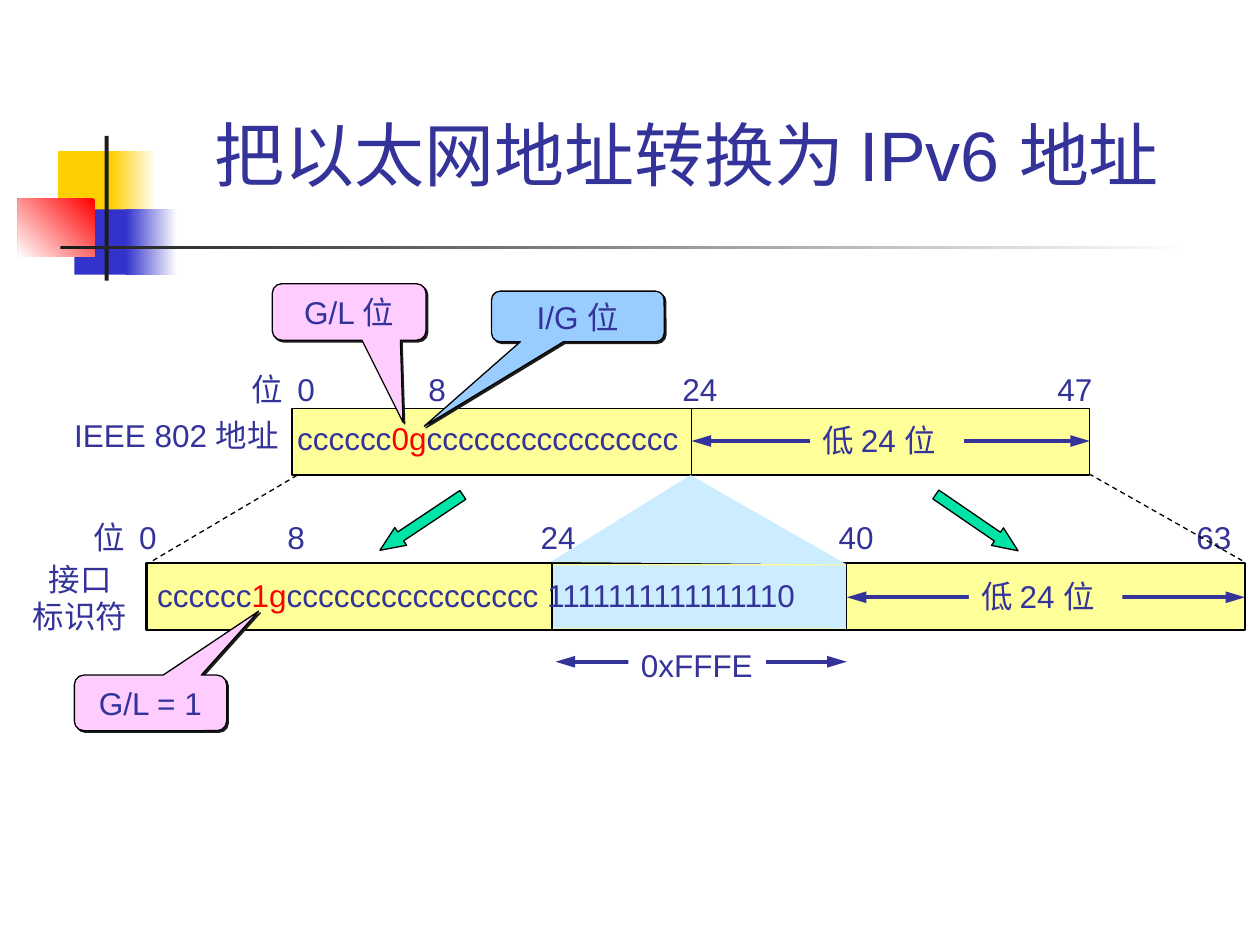
from lxml.etree import SubElement
from pptx import Presentation
from pptx.dml.color import RGBColor
from pptx.enum.dml import MSO_LINE
from pptx.enum.shapes import MSO_CONNECTOR, MSO_SHAPE
from pptx.enum.text import MSO_ANCHOR, PP_ALIGN
from pptx.oxml.ns import qn
from pptx.util import Cm, Pt

THEME = {
    "font": "Arial", "title": 40, "body": 18,
    "text": "333399", "mark": "FF0000", "line": "000000", "dark": "1C1C1C",
    "white": "FFFFFF", "gold": "FFCF01", "blue": "3333CC", "red": "FF0000",
    "bar": "FFFF99", "insert": "CCECFF", "green": "00E4A8",
    "pink": "FFCCFF", "sky": "99CCFF",
}
FRAME = {
    "margin_left": Cm(0.25), "margin_right": Cm(0.25),
    "margin_top": Cm(0.13), "margin_bottom": Cm(0.13),
    "word_wrap": False, "vertical_anchor": MSO_ANCHOR.TOP,
}
TEXT_H = 1.02

# Content: boxes are left, top, width, height in centimetres
TITLE = ("把以太网地址转换为 IPv6 地址", (3.02, 1.73, 21.65, 2.34))
MOTIF = [  # box, colour, gradient angle (None for solid)
    ((1.17, 3.05, 1.22, 1.32), "gold", None),
    ((2.24, 3.05, 0.91, 1.32), "gold", 0),
    ((1.5, 4.22, 1.17, 1.32), "blue", None),
    ((2.54, 4.22, 1.02, 1.32), "blue", 0),
    ((0.36, 4.01, 1.55, 1.17), "red", 225),
    ((2.11, 2.74, 0.08, 2.92), "dark", None),
    ((1.22, 4.95, 22.86, 0.08), "dark", 0),
]
ADDRESSES = [
    {"bar": (5.89, 8.23, 16.08, 1.35), "border": 0.75, "dividers": [13.94],
     "bits": [("cccccc", "text"), ("0g", "mark"), ("cccccccccccccccc", "text")],
     "bits_box": (5.74, 8.31, 8.2, TEXT_H),
     "ticks_box": (4.83, 7.32, 17.48, TEXT_H),
     "ticks": [("0", 6.17), ("8", 8.81), ("24", 14.11), ("47", 21.67)],
     "name": "IEEE 802 地址", "name_box": (1.17, 8.26, 4.78, TEXT_H)},
    {"bar": (2.95, 11.35, 22.15, 1.35), "border": 1.5, "dividers": [11.13, 17.07],
     "bits": [("cccccc", "text"), ("1g", "mark"),
              ("cccccccccccccccc 1111111111111110", "text")],
     "bits_box": (2.92, 11.48, 14.02, TEXT_H),
     "ticks_box": (1.63, 10.31, 23.7, TEXT_H),
     "ticks": [("0", 2.98), ("8", 5.97), ("24", 11.25), ("40", 17.26), ("63", 24.47)],
     "name": "接口\n标识符", "name_box": (0.41, 11.15, 2.41, 1.78)},
]
INSERT = (11.15, 11.4, 5.92, 1.27)
WEDGE = [(13.92, 9.58), (11.1, 11.33), (17.07, 11.38)]
SPANS = [  # from x, to x, y, label, label box, label fill
    (13.94, 21.97, 8.89, "低 24 位", (16.33, 8.36, 3.1, TEXT_H), "bar"),
    (17.07, 25.1, 12.04, "低 24 位", (19.53, 11.51, 3.1, TEXT_H), "bar"),
    (11.2, 17.07, 13.34, "0xFFFE", (12.67, 12.9, 2.77, TEXT_H), "white"),
]
PROJECTIONS = [((21.95, 9.55), (25.04, 11.3)), ((5.99, 9.58), (3, 11.35))]
BLOCK_ARROWS = [((8.28, 9.53, 0.43, 2.01), 56.3), ((19.48, 9.53, 0.43, 2.01), 304.4)]
CALLOUTS = [
    ("I/G 位", (9.91, 5.87, 3.48, 1.02), "sky", (-0.89, 2.17, 0.17)),
    ("G/L 位", (5.49, 5.72, 3.1, 1.14), "pink", (0.35, 1.95, 0.17)),
    ("G/L = 1", (1.5, 13.61, 3.07, 1.12), "pink", (0.71, -1.65, 0.17)),
]

prs = Presentation()
prs.slide_width, prs.slide_height = Cm(25.4), Cm(19.05)
s = prs.slides.add_slide(prs.slide_layouts[6])


def rgb(name):
    return RGBColor.from_string(THEME[name])


def set_format(obj, values):
    for key, value in values.items():
        setattr(obj, key, value)


def add_shape(box, fill, border=None, kind=MSO_SHAPE.RECTANGLE):
    sp = s.shapes.add_shape(kind, *map(Cm, box))
    return style(sp, fill, border)


def style(sp, fill, border=None):
    sp.shadow.inherit = False
    sp.fill.solid()
    sp.fill.fore_color.rgb = rgb(fill)
    if border:
        sp.line.color.rgb = rgb("line")
        sp.line.width = Pt(border)
    else:
        sp.line.fill.background()
    return sp


def write(sp, lines, align=PP_ALIGN.LEFT, size="body", **frame):
    """Write lines, each a list of (text, colour) runs."""
    tf = sp.text_frame
    set_format(tf, {**FRAME, **frame})
    for i, runs in enumerate(lines):
        p = tf.add_paragraph() if i else tf.paragraphs[0]
        p.alignment = align
        for text, color in runs:
            r = p.add_run()
            r.text = text
            set_format(r.font, {"name": THEME["font"], "size": Pt(THEME[size])})
            r.font.color.rgb = rgb(color)
    return tf


def add_text(box, lines, **options):
    return write(s.shapes.add_textbox(*map(Cm, box)), lines, **options)


def plain(text):
    return [[(line, "text")] for line in text.split("\n")]


def add_line(start, end, color="line", width=0.75, dash=None, heads=False):
    c = s.shapes.add_connector(MSO_CONNECTOR.STRAIGHT, *map(Cm, (*start, *end)))
    c.line.color.rgb = rgb(color)
    c.line.width = Pt(width)
    if dash:
        c.line.dash_style = dash
    if heads:
        for tag in ("a:headEnd", "a:tailEnd"):
            SubElement(c.line._get_or_add_ln(), qn(tag), type="triangle", len="lg")
    SubElement(c._element.spPr, qn("a:effectLst"))


def add_ticks(box, ticks):
    """Write the bit numbers, each centred on its own tab stop."""
    text = "\t".join(["位"] + [number for number, _ in ticks])
    tf = add_text(box, plain(text), word_wrap=True, margin_right=0)
    tabs = SubElement(tf.paragraphs[0]._p.get_or_add_pPr(), qn("a:tabLst"))
    for _, x in ticks:
        SubElement(tabs, qn("a:tab"), pos=str(Cm(x - box[0] - 0.25)), algn="ctr")


# Corner motif and title
for box, color, angle in MOTIF:
    sp = add_shape(box, color)
    if angle is not None:
        sp.fill.gradient()
        sp.fill.gradient_angle = angle
        for stop, name in zip(sp.fill.gradient_stops, (color, "white")):
            stop.color.rgb = rgb(name)
text, box = TITLE
add_text(box, plain(text), align=PP_ALIGN.CENTER, size="title",
         word_wrap=True, vertical_anchor=MSO_ANCHOR.BOTTOM)

# Address bars and the inserted 16 bits
for address in ADDRESSES:
    add_shape(address["bar"], "bar", address["border"])
add_shape(INSERT, "insert")
builder = s.shapes.build_freeform(*map(Cm, WEDGE[0]))
builder.add_line_segments([(Cm(x), Cm(y)) for x, y in WEDGE[1:]], close=True)
style(builder.convert_to_shape(), "insert")

# Spans with their labels
for x1, x2, y, label, box, fill in SPANS:
    add_line((x1, y), (x2, y), "text", 2.25, heads=True)
    write(add_shape(box, fill), plain(label))

# Dividers, bits, bit numbers and names
for address in ADDRESSES:
    _, top, _, height = address["bar"]
    for x in address["dividers"]:
        add_line((x, top), (x, top + height))
    add_text(address["bits_box"], [address["bits"]])
    add_ticks(address["ticks_box"], address["ticks"])
    add_text(address["name_box"], plain(address["name"]), align=PP_ALIGN.CENTER)

# Projection lines and block arrows
for start, end in PROJECTIONS:
    add_line(start, end, dash=MSO_LINE.DASH)
for box, angle in BLOCK_ARROWS:
    sp = add_shape(box, "green", 0.75, MSO_SHAPE.DOWN_ARROW)
    sp.rotation = angle
    sp.adjustments[1] = 1.17

# Callouts with a hard shadow
for label, box, fill, adjustments in CALLOUTS:
    sp = add_shape(box, fill, 0.75, MSO_SHAPE.ROUNDED_RECTANGULAR_CALLOUT)
    for i, value in enumerate(adjustments):
        sp.adjustments[i] = value
    effects = sp._element.spPr.find(qn("a:effectLst"))
    shadow = SubElement(effects, qn("a:outerShdw"), dist=str(Pt(1.4)), dir="2700000")
    SubElement(shadow, qn("a:srgbClr"), val=THEME["dark"])
    write(sp, plain(label), align=PP_ALIGN.CENTER, word_wrap=True,
          vertical_anchor=MSO_ANCHOR.MIDDLE)

prs.save("out.pptx")
